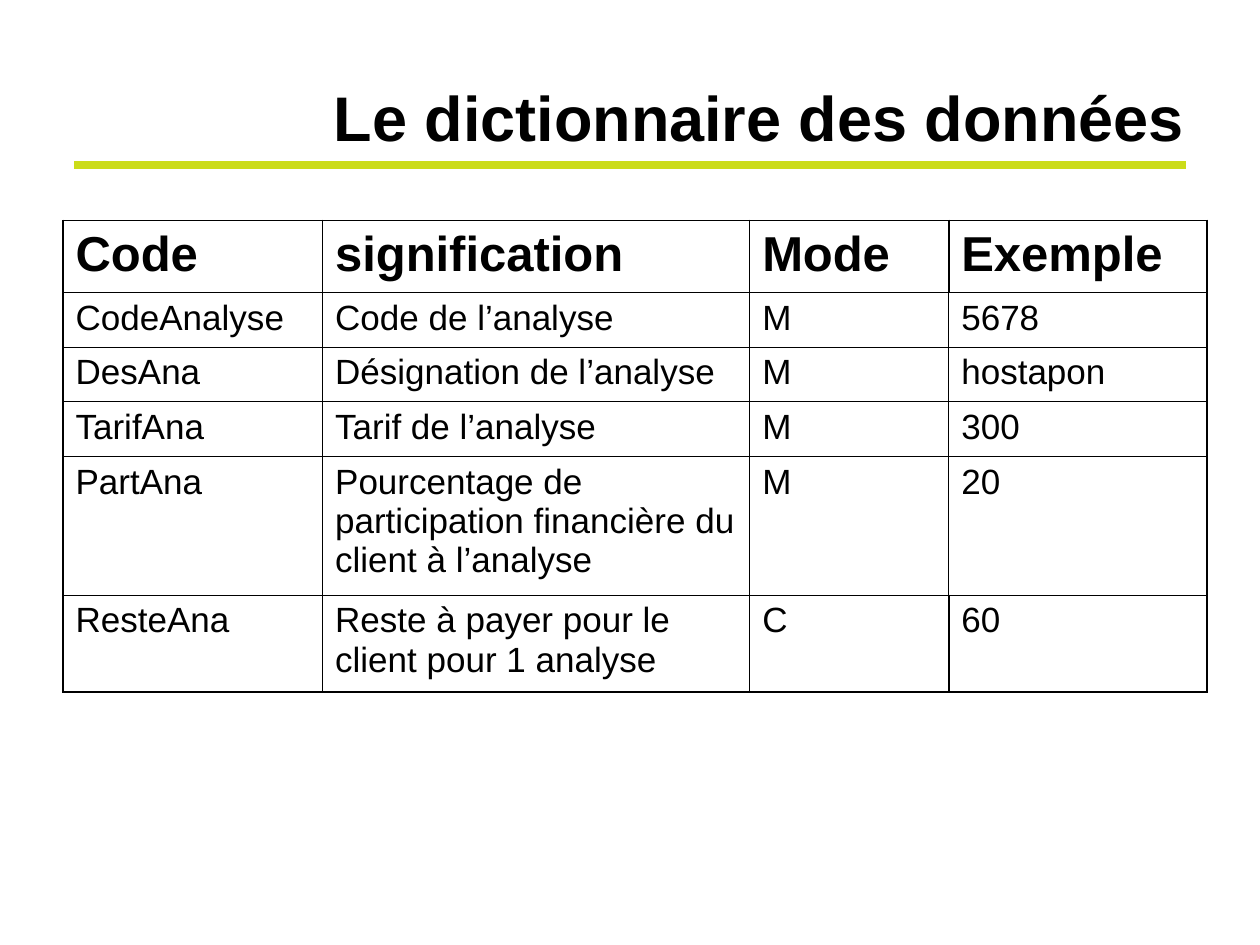
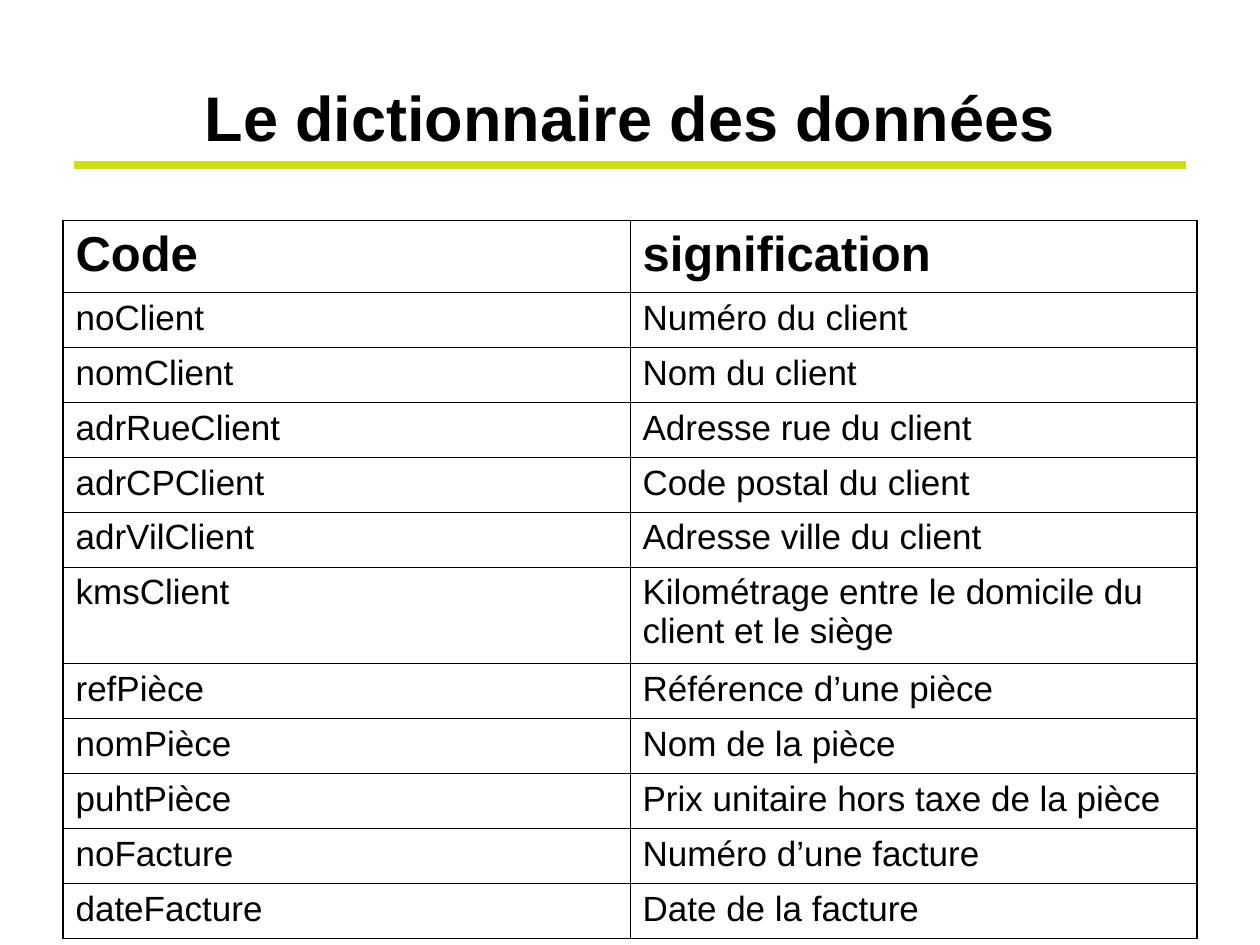
import pptx
import pptx.dml.color
import pptx.enum.shapes
import pptx.enum.text
import pptx.oxml.xmlchemy
import pptx.util
from lxml import etree
from pptx.oxml.ns import qn
from pptx.util import Inches, Pt

ALIGN = pptx.enum.text.PP_ALIGN

COLORS = {"text": "000000", "border": "000000", "rule": "CBDC1A"}
FONT = "Arial"
TITLE = "Le dictionnaire des données"
TABLE_LEFT, TABLE_TOP = 0.5, 1.75
HEADER_HEIGHT = 0.57
THICK, THIN = 1.08, 0.45

# "tall_rows" gives the height of rows with wrapped text;
# the other body rows share the rest of "height" equally.
DICTIONARIES = [
    {
        "title_align": ALIGN.RIGHT,
        "columns": [2.06, 3.39, 1.58, 2.05],
        "height": 3.73,
        "tall_rows": {4: 1.1, 5: 0.77},
        "rows": [
            ("Code", "signification", "Mode", "Exemple"),
            ("CodeAnalyse", "Code de l’analyse", "M", "5678"),
            ("DesAna", "Désignation de l’analyse", "M", "hostapon"),
            ("TarifAna", "Tarif de l’analyse", "M", "300"),
            ("PartAna", "Pourcentage de participation financière du client à l’analyse", "M", "20"),
            ("ResteAna", "Reste à payer pour le client pour 1 analyse", "C", "60"),
        ],
    },
    {
        "title_align": ALIGN.CENTER,
        "columns": [4.5, 4.5],
        "height": 5.7,
        "tall_rows": {6: 0.77},
        "rows": [
            ("Code", "signification"),
            ("noClient", "Numéro du client"),
            ("nomClient", "Nom du client"),
            ("adrRueClient", "Adresse rue du client"),
            ("adrCPClient", "Code postal du client"),
            ("adrVilClient", "Adresse ville du client"),
            ("kmsClient", "Kilométrage entre le domicile du client et le siège"),
            ("refPièce", "Référence d’une pièce"),
            ("nomPièce", "Nom de la pièce"),
            ("puhtPièce", "Prix unitaire hors taxe de la pièce"),
            ("noFacture", "Numéro d’une facture"),
            ("dateFacture", "Date de la facture"),
        ],
    },
]


def rgb(name):
    return pptx.dml.color.RGBColor.from_string(COLORS[name])


def set_font(paragraph, size, bold):
    paragraph.font.name = FONT
    paragraph.font.size = Pt(size)
    paragraph.font.bold = bold
    paragraph.font.color.rgb = rgb("text")


def add_title(slide, align):
    """Add the heading and the green rule below it."""
    rule = slide.shapes.add_connector(
        pptx.enum.shapes.MSO_CONNECTOR.STRAIGHT,
        Inches(0.59), Inches(1.31), Inches(9.41), Inches(1.31))
    rule.line.color.rgb = rgb("rule")
    rule.line.width = Pt(4.5)
    etree.SubElement(rule._element.spPr, qn("a:effectLst"))

    title = slide.shapes.add_textbox(Inches(0.5), Inches(0.3), Inches(9), Inches(1.25))
    frame = title.text_frame
    frame.word_wrap = True
    frame.vertical_anchor = pptx.enum.text.MSO_ANCHOR.MIDDLE
    paragraph = frame.paragraphs[0]
    paragraph.text = TITLE
    paragraph.alignment = align
    set_font(paragraph, 36, True)


def set_borders(cell, widths):
    """Draw solid borders; widths maps L, R, T and B to points."""
    properties = cell._tc.get_or_add_tcPr()
    for side, width in widths.items():
        line = etree.SubElement(properties, qn(f"a:ln{side}"), w=str(Pt(width)))
        fill = etree.SubElement(line, qn("a:solidFill"))
        etree.SubElement(fill, qn("a:srgbClr"), val=COLORS["border"])


def border_widths(row, column, row_count, column_count):
    """Thick outline, thin grid; the end rows also get thick lines after column two."""
    def vertical(edge):
        end_row = row in (0, row_count - 1)
        return THICK if edge in (0, column_count) or (end_row and edge >= 2) else THIN

    def horizontal(edge):
        return THICK if edge in (0, row_count) else THIN

    return {"L": vertical(column), "R": vertical(column + 1),
            "T": horizontal(row), "B": horizontal(row + 1)}


def row_heights(dictionary):
    fixed = {0: HEADER_HEIGHT, **dictionary["tall_rows"]}
    count = len(dictionary["rows"])
    shared = (dictionary["height"] - sum(fixed.values())) / (count - len(fixed))
    return [fixed.get(row, shared) for row in range(count)]


def add_dictionary_table(slide, dictionary):
    rows, columns = dictionary["rows"], dictionary["columns"]
    table = slide.shapes.add_table(
        len(rows), len(columns), Inches(TABLE_LEFT), Inches(TABLE_TOP),
        Inches(sum(columns)), Inches(dictionary["height"])).table
    table.first_row = table.horz_banding = False
    for column, width in zip(table.columns, columns):
        column.width = Inches(width)
    for row, height in zip(table.rows, row_heights(dictionary)):
        row.height = Inches(height)

    for row_index, texts in enumerate(rows):
        header = row_index == 0
        for column_index, text in enumerate(texts):
            cell = table.cell(row_index, column_index)
            set_borders(cell, border_widths(row_index, column_index, len(rows), len(columns)))
            cell.fill.background()
            paragraph = cell.text_frame.paragraphs[0]
            paragraph.text = text
            paragraph.space_before = Pt(7 if header else 5)
            set_font(paragraph, 28 if header else 20, header)


def main():
    presentation = pptx.Presentation()
    presentation.slide_width, presentation.slide_height = Inches(10), Inches(7.5)
    for dictionary in DICTIONARIES:
        slide = presentation.slides.add_slide(presentation.slide_layouts[6])
        add_title(slide, dictionary["title_align"])
        add_dictionary_table(slide, dictionary)
    presentation.save("out.pptx")


if __name__ == "__main__":
    main()
